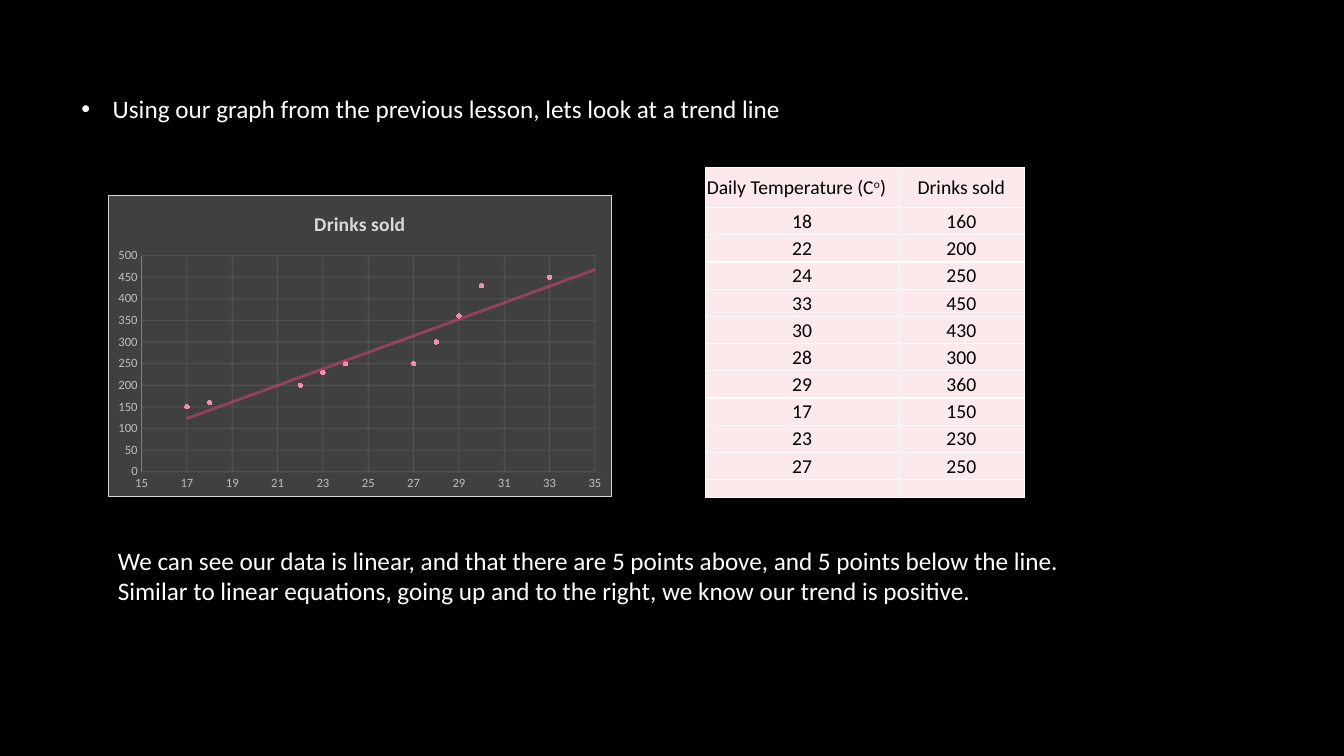
from lxml import etree
from pptx import Presentation
from pptx import util as u
from pptx.chart.data import XyChartData
from pptx.dml.color import RGBColor
from pptx.enum import chart as chart_enum, text
from pptx.oxml import parse_xml
from pptx.oxml.ns import nsdecls, qn

FONT = "Calibri"
WHITE = "FFFFFF"
SALES = [(18, 160), (22, 200), (24, 250), (33, 450), (30, 430),
         (28, 300), (29, 360), (17, 150), (23, 230), (27, 250)]


def color(value):
    return RGBColor.from_string(value)


def style_font(font, size, value, bold=False):
    font.name = FONT
    font.size = u.Pt(size)
    font.bold = bold
    font.color.rgb = color(value)


def style_line(line, value, width, opacity=100):
    line.color.rgb = color(value)
    line.width = u.Pt(width)
    if opacity < 100:
        tint = line.fill._xPr.find(".//" + qn("a:srgbClr"))
        etree.SubElement(tint, qn("a:alpha"), val=str(opacity * 1000))


def add_text(slide, box, lines, wrap, anchor, bullet=False):
    frame = slide.shapes.add_textbox(*map(u.Inches, box)).text_frame
    frame.word_wrap = wrap
    frame.vertical_anchor = anchor
    frame.text = "\n".join(lines)
    for paragraph in frame.paragraphs:
        if bullet:
            properties = paragraph._p.get_or_add_pPr()
            indent = u.Inches(0.31)
            properties.set("marL", str(indent))
            properties.set("indent", str(-indent))
            properties.append(parse_xml(
                f'<a:buFont {nsdecls("a")} typeface="Arial"/>'))
            etree.SubElement(properties, qn("a:buChar"), char="•")
            paragraph.space_after = u.Pt(10)
        style_font(paragraph.font, 18, WHITE)
    return frame


def add_trend_line(series):
    trend_line = parse_xml(
        f'<c:trendline {nsdecls("c", "a")}><c:spPr><a:ln w="{u.Pt(2)}" cap="rnd">'
        '<a:solidFill><a:srgbClr val="E84574"><a:alpha val="50000"/></a:srgbClr></a:solidFill>'
        '</a:ln></c:spPr><c:trendlineType val="linear"/><c:forward val="2"/>'
        '<c:dispRSqr val="0"/><c:dispEq val="0"/></c:trendline>')
    series._element.find(qn("c:xVal")).addprevious(trend_line)


def add_axis(axis, low, high, step):
    axis.minimum_scale, axis.maximum_scale, axis.major_unit = low, high, step
    axis.major_tick_mark = axis.minor_tick_mark = chart_enum.XL_TICK_MARK.NONE
    axis.has_major_gridlines = True
    style_line(axis.major_gridlines.format.line, "595959", 0.75, 75)
    style_font(axis.tick_labels.font, 9, "BFBFBF")


def add_sales_chart(slide, box):
    data = XyChartData()
    points = data.add_series("Drinks sold")
    for temperature, drinks in SALES:
        points.add_data_point(temperature, drinks)
    chart = slide.shapes.add_chart(
        chart_enum.XL_CHART_TYPE.XY_SCATTER, *map(u.Inches, box), data).chart
    style_font(chart.font, 10, WHITE)
    chart.has_legend = False
    chart.has_title = True
    title = chart.chart_title.text_frame
    title.text = "Drinks sold"
    style_font(title.paragraphs[0].font, 14, "D9D9D9", True)
    chart.plots[0].vary_by_categories = False

    add_axis(chart.category_axis, 15, 35, 2)
    chart.category_axis.format.line.fill.background()
    add_axis(chart.value_axis, 0, 500, 50)
    style_line(chart.value_axis.format.line, "808080", 0.75)

    series = chart.plots[0].series[0]
    series.smooth = False
    series.format.line.fill.background()
    series.marker.style = chart_enum.XL_MARKER_STYLE.CIRCLE
    series.marker.size = 3
    series.marker.format.fill.solid()
    series.marker.format.fill.fore_color.rgb = color("F18FAC")
    style_line(series.marker.format.line, "F18FAC", 0.75)
    add_trend_line(series)

    chart._chartSpace.find(qn("c:chart")).addnext(parse_xml(
        f'<c:spPr {nsdecls("c", "a")}><a:solidFill><a:srgbClr val="404040"/></a:solidFill>'
        f'<a:ln w="{u.Pt(0.75)}"><a:solidFill><a:srgbClr val="D9D9D9"/></a:solidFill></a:ln></c:spPr>'))


def style_cell(cell):
    cell.margin_left = cell.margin_right = cell.margin_top = u.Inches(0.01)
    cell.margin_bottom = 0
    cell.vertical_anchor = text.MSO_ANCHOR.MIDDLE
    cell.fill.solid()
    cell.fill.fore_color.rgb = color("FBE9EB")
    for position, side in enumerate(("lnL", "lnR", "lnT", "lnB")):
        cell._tc.get_or_add_tcPr().insert(position, parse_xml(
            f'<a:{side} {nsdecls("a")} w="{u.Pt(1)}"><a:solidFill>'
            f'<a:srgbClr val="{WHITE}"/></a:solidFill></a:{side}>'))


def add_sales_table(slide, box):
    rows = [("", "Drinks sold"), *SALES, ("", "")]
    heights = [0.4] + [0.27] * len(SALES) + [0.18]
    table = slide.shapes.add_table(len(rows), 2, *map(u.Inches, box)).table
    table.first_row = table.horz_banding = False
    for column, width in zip(table.columns, (1.91, 1.25)):
        column.width = u.Inches(width)
    for row, height, values in zip(table.rows, heights, rows):
        row.height = u.Inches(height)
        for cell, value in zip(row.cells, values):
            style_cell(cell)
            paragraph = cell.text_frame.paragraphs[0]
            if value:
                paragraph.text = str(value)
                paragraph.alignment = text.PP_ALIGN.CENTER
                style_font(paragraph.font, 14, "000000")
            else:
                etree.SubElement(paragraph._p, qn("a:endParaRPr"), sz="1000")
    heading = table.cell(0, 0).text_frame
    heading.clear()
    paragraph = heading.paragraphs[0]
    for part in ("Daily Temperature (C", "o", ")"):
        run = paragraph.add_run()
        run.text = part
        if part == "o":
            run.font._element.set("baseline", "30000")
    style_font(paragraph.font, 14, "000000")


def build_trend_slide(presentation):
    slide = presentation.slides.add_slide(presentation.slide_layouts[6])
    slide.background.fill.solid()
    slide.background.fill.fore_color.rgb = color("000000")
    add_text(slide, (0.71, 0.65, 11.08, 0.86),
             ["Using our graph from the previous lesson, lets look at a trend line"],
             True, text.MSO_ANCHOR.MIDDLE, bullet=True)
    add_sales_chart(slide, (1.07, 1.93, 5, 3))
    add_sales_table(slide, (7, 1.66, 3.16, 3.31))
    conclusion = add_text(
        slide, (1.07, 5.36, 9.65, 0.71),
        ["We can see our data is linear, and that there are 5 points above, and 5 points below the line.",
         "Similar to linear equations, going up and to the right, we know our trend is positive."],
        False, text.MSO_ANCHOR.TOP)
    conclusion.auto_size = text.MSO_AUTO_SIZE.SHAPE_TO_FIT_TEXT


def main():
    presentation = Presentation()
    presentation.slide_width = u.Inches(13.33)
    presentation.slide_height = u.Inches(7.5)
    build_trend_slide(presentation)
    presentation.save("out.pptx")


if __name__ == "__main__":
    main()
